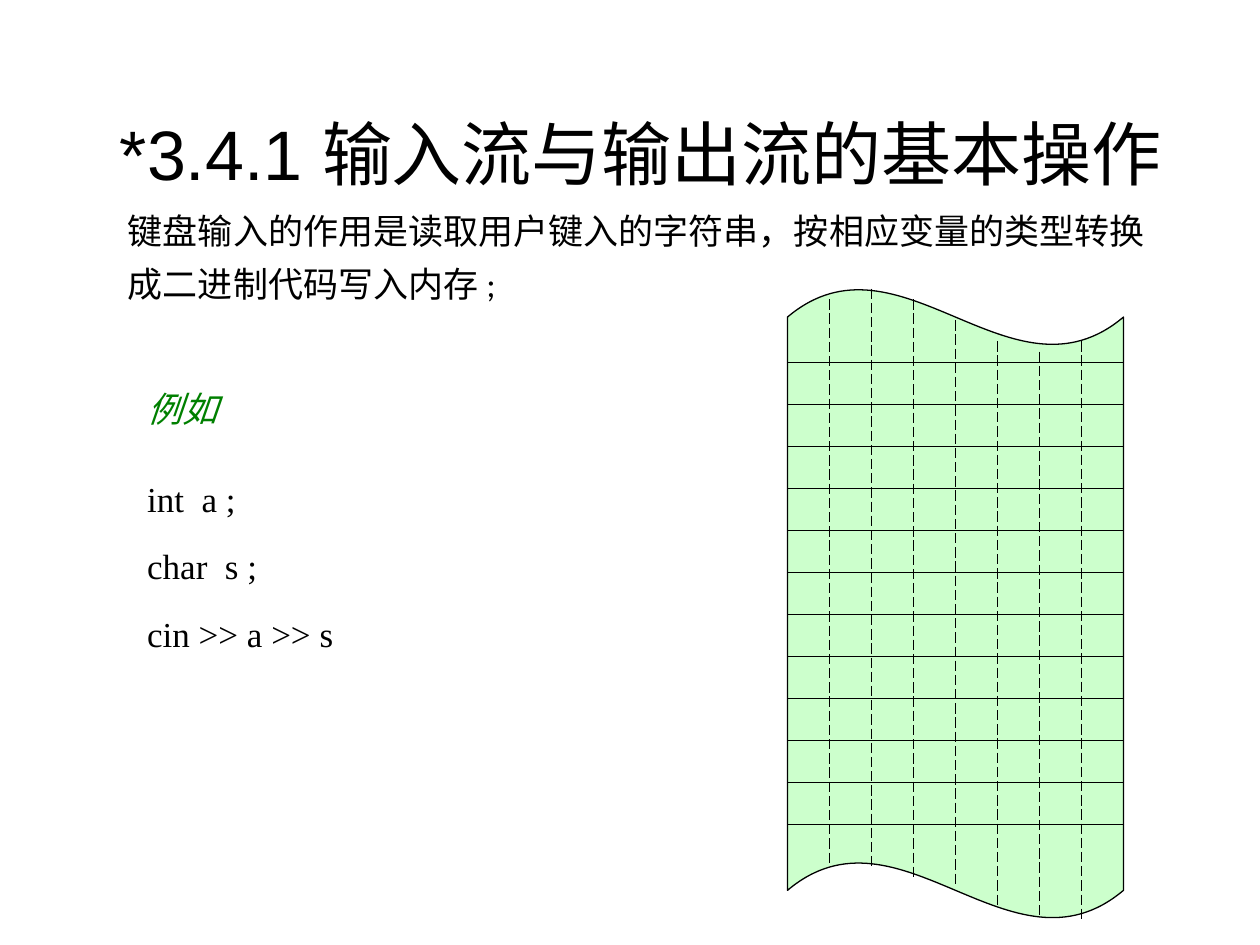
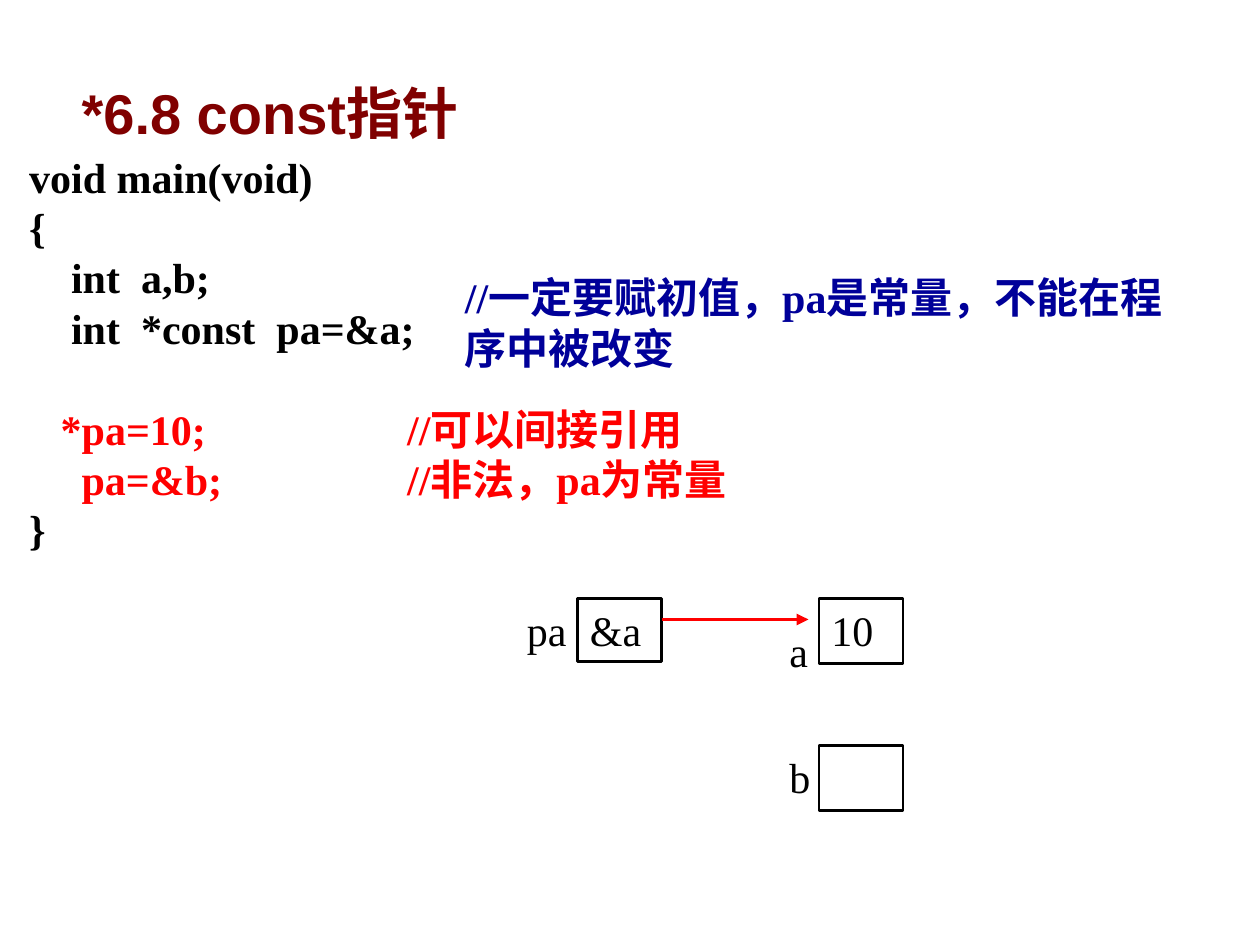
from lxml.etree import SubElement
from pptx import Presentation
from pptx.dml.color import RGBColor
from pptx.enum.dml import MSO_LINE_DASH_STYLE as Dash
from pptx.enum.shapes import MSO_CONNECTOR as Connector, MSO_SHAPE as Shape
from pptx.enum.text import MSO_ANCHOR as Anchor, PP_ALIGN as Align
from pptx.oxml.ns import qn
from pptx.util import Inches, Pt

COLORS = {
    "ink": "000000",
    "memory": "CCFFCC",
    "example": "008000",
    "heading": "800000",
    "note": "000099",
    "alert": "FF0000",
}
SERIF, SANS, BODY = "Times New Roman", "Arial", "Calibri"

deck = Presentation()
deck.slide_width, deck.slide_height = Inches(10), Inches(7.5)
BLANK = deck.slide_layouts[6]
# Grid of 120 columns by 90 rows, in square units
UNIT = deck.slide_width / 120


def write(slide, area, lines, size, font=SERIF, color="ink", spacing=1.0,
          bold=False, italic=False, align=Align.LEFT, anchor=Anchor.TOP, framed=False):
    """Put lines in a grid area; a line is a text or (text, color, points before)."""
    place = [round(part * UNIT) for part in area]
    if framed:
        box = slide.shapes.add_shape(Shape.RECTANGLE, *place)
        box.shadow.inherit = False
        box.fill.background()
        box.line.color.rgb = RGBColor.from_string(COLORS["ink"])
        box.line.width = Pt(1.5)
    else:
        box = slide.shapes.add_textbox(*place)
    frame = box.text_frame
    frame.word_wrap = True
    frame.vertical_anchor = anchor
    for row, line in enumerate(lines):
        text, tone, before = (line, color, 0) if isinstance(line, str) else line
        paragraph = frame.paragraphs[0] if row == 0 else frame.add_paragraph()
        if "\t" in text:
            stops = SubElement(paragraph._p.get_or_add_pPr(), qn("a:tabLst"))
            for inch in range(1, 8):
                SubElement(stops, qn("a:tab"), pos=str(Inches(inch)), algn="l")
        paragraph.alignment = align
        paragraph.line_spacing = spacing
        if before:
            paragraph.space_before = Pt(before)
        run = paragraph.add_run()
        run.text = text
        run.font.name, run.font.size = font, Pt(size)
        run.font.bold, run.font.italic = bold, italic
        run.font.color.rgb = RGBColor.from_string(COLORS[tone])


def rule(slide, ends, color="ink", width=0.75):
    """Draw a straight line between two grid points."""
    line = slide.shapes.add_connector(
        Connector.STRAIGHT, *[round(part * UNIT) for part in ends])
    line.line.color.rgb = RGBColor.from_string(COLORS[color])
    line.line.width = Pt(width)
    SubElement(line._element.spPr, qn("a:effectLst"))
    return line


# Slide 1: input and output streams
streams = deck.slides.add_slide(BLANK)
write(streams, (8, 8, 106, 9), ["*3.4.1 输入流与输出流的基本操作"], 40, SANS,
      spacing=1.5, align=Align.CENTER, anchor=Anchor.MIDDLE)

LEFT, TOP, CELL, BITS = 75, 27.5, 4, 8
RIGHT = LEFT + BITS * CELL
memory = streams.shapes.add_shape(
    Shape.WAVE, *[round(part * UNIT) for part in (LEFT, TOP, BITS * CELL, 60)])
memory.adjustments[0] = 0.045
memory.shadow.inherit = False
memory.fill.solid()
memory.fill.fore_color.rgb = RGBColor.from_string(COLORS["memory"])
memory.line.color.rgb = RGBColor.from_string(COLORS["ink"])
memory.line.width = Pt(0.75)

for byte in range(12):
    y = TOP + 7 + byte * CELL
    rule(streams, (LEFT, y, RIGHT, y))
bit_spans = [(28.5, 82.5), (27.5, 82.5), (28.5, 83.5), (30.5, 84.5),
             (32.5, 86.5), (33.5, 87.5), (32.5, 87.5)]
for bit, (start, end) in enumerate(bit_spans, 1):
    x = LEFT + bit * CELL
    rule(streams, (x, start, x, end)).line.dash_style = Dash.LONG_DASH

write(streams, (12.84, 35.9, 10, 5.6), ["例如"], 20, color="example",
      spacing=1.1, italic=True)
write(streams, (12.84, 42.5, 51.8, 26.9), ["int  a ;", "char  s ;", "cin >> a >> s"],
      20, spacing=1.6)
write(streams, (11, 18.4, 100, 11.3),
      ["键盘输入的作用是读取用户键入的字符串，按相应变量的类型转换成二进制代码写入内存 ;"],
      20, BODY, spacing=1.25)

# Slide 2: const pointers
pointers = deck.slides.add_slide(BLANK)
write(pointers, (1.6, 13.8, 115, 39.6), [
    "void main(void)",
    "{",
    "    int  a,b;",
    "    int  *const  pa=&a;",
    ("   *pa=10;\t\t//可以间接引用", "alert", 28.8),
    ("     pa=&b;\t\t//非法，pa为常量", "alert", 0),
    "}",
], 24, bold=True)

cells = [((55, 57, 8, 6), "&a"), ((78, 57, 8, 6.2), "10"), ((78, 71, 8, 6.2), "")]
for area, value in cells:
    write(pointers, area, [value] if value else [], 24, framed=True)
labels = [((49, 57, 7, 6), "pa"), ((74, 59, 4, 6), "a"), ((74, 71, 6, 6), "b")]
for area, variable in labels:
    write(pointers, area, [variable], 24)

points_to = rule(pointers, (63, 59, 77, 59), "alert", 2.25)
SubElement(points_to.line._get_or_add_ln(), qn("a:tailEnd"), type="triangle")

write(pointers, (6.6, 3.7, 107, 9), ["*6.8 const指针"], 32, SANS, "heading",
      spacing=1.5, bold=True)
write(pointers, (43.1, 25.3, 69.4, 10.8),
      ["//一定要赋初值，pa是常量，不能在程序中被改变"], 24, color="note", bold=True)

deck.save("out.pptx")
